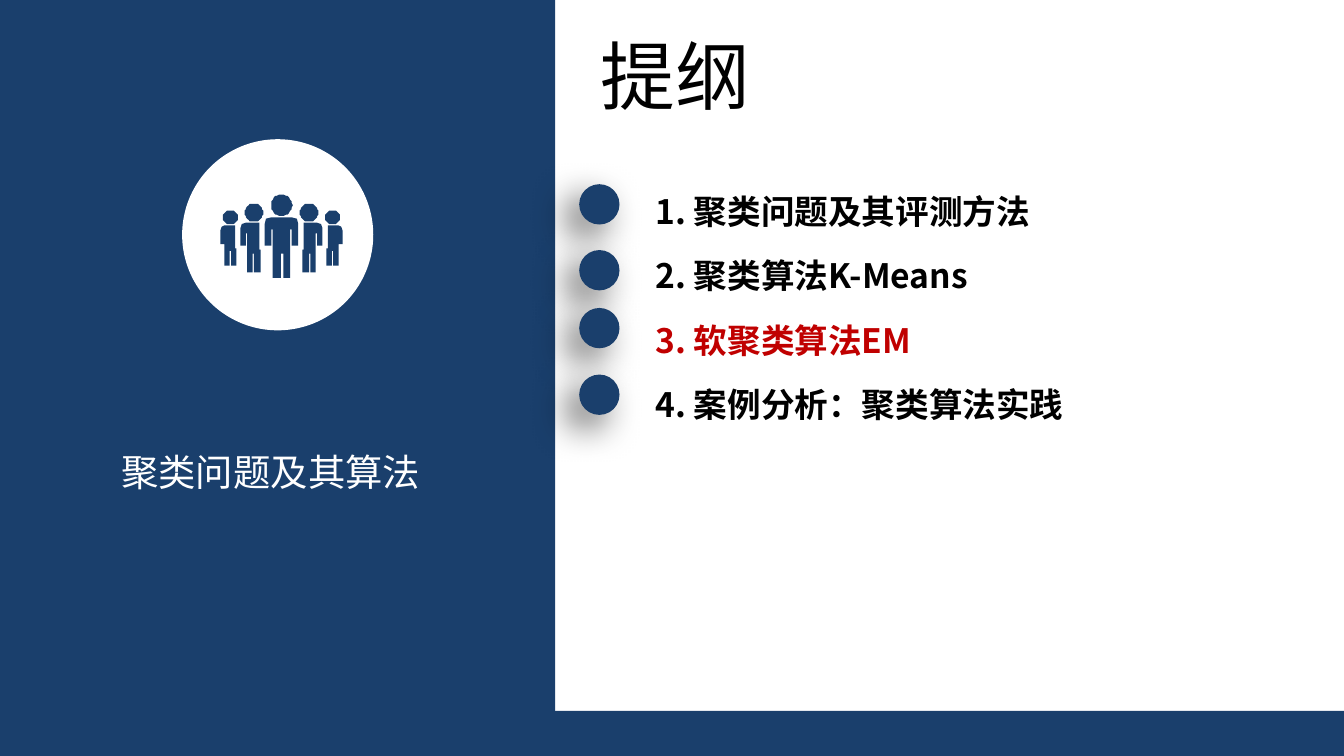
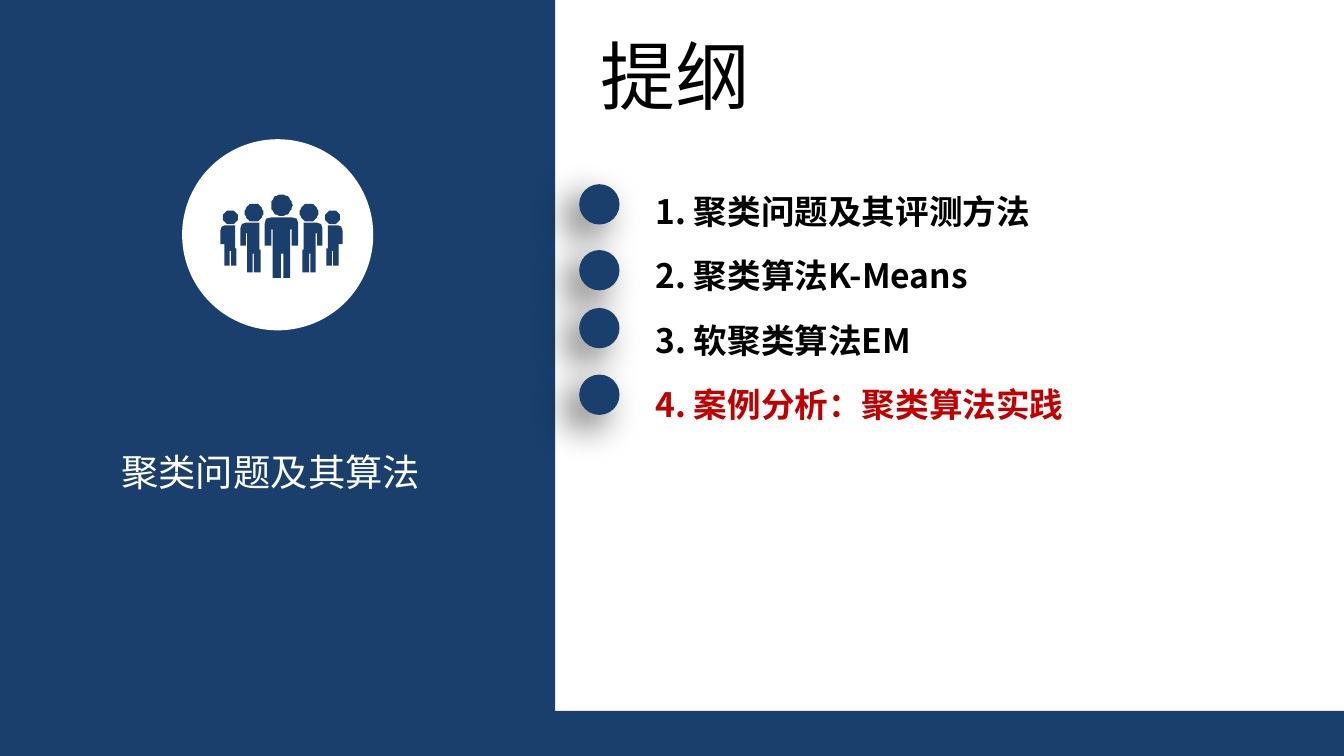
import math

from lxml import etree
from pptx import Presentation
from pptx.dml.color import RGBColor
from pptx.enum.shapes import MSO_SHAPE
from pptx.enum.text import MSO_ANCHOR, PP_ALIGN
from pptx.oxml.ns import qn
from pptx.util import Pt

RECT, OVAL = MSO_SHAPE.RECTANGLE, MSO_SHAPE.OVAL
TOP = MSO_ANCHOR.TOP
LEFT, CENTER = PP_ALIGN.LEFT, PP_ALIGN.CENTER

NAVY = RGBColor(0x1A, 0x3F, 0x6C)
WHITE = RGBColor(0xFF, 0xFF, 0xFF)
BLACK = RGBColor(0, 0, 0)
RED = RGBColor(0xC0, 0, 0)
FONT = "Noto Sans CJK SC"

WIDTH, HEIGHT = 720, 405
PANEL_WIDTH = 297.4
BAND_TOP = 380.8

TITLE = "提纲"
CHAPTER = "聚类问题及其算法"
TOPICS = [
    "1. 聚类问题及其评测方法",
    "2. 聚类算法K-Means",
    "3. 软聚类算法EM",
    "4. 案例分析：聚类算法实践",
]
CURRENT_TOPICS = [2, 3]
MARKER_OFFSETS = [0, 35.3, 66.3, 102]

# Crowd outlines, on a grid 91 units wide with the leader in the middle
GRID_UNIT = 0.72
GRID_WIDTH = 91
LEADER_BODY = [
    (33, 22), (34, 18), (38, 17), (53, 17), (57, 18), (58, 22), (58, 38),
    (53, 38), (53, 26), (52, 26), (52, 62), (47, 62), (47, 44), (45, 44),
    (45, 62), (39, 62), (39, 26), (38, 26), (38, 38), (33, 38),
]
INNER_BODY = [
    (15, 25), (16, 22), (19, 21), (29, 21), (29, 41), (30, 41), (30, 58),
    (25, 58), (25, 44), (24, 44), (24, 58), (20, 58), (20, 29), (19, 29),
    (19, 38), (15, 38),
]
OUTER_BODY = [
    (0, 27), (1, 24), (3, 23), (11, 23), (11, 40), (12, 40), (12, 53),
    (8, 53), (8, 42), (7, 42), (7, 53), (3, 53), (3, 37), (0, 37),
]


def paint(shape, color):
    shape.shadow.inherit = False
    shape.fill.solid()
    shape.fill.fore_color.rgb = color
    shape.line.fill.background()


def add_solid(shapes, kind, box, color):
    shape = shapes.add_shape(kind, *map(Pt, box))
    paint(shape, color)
    return shape


def set_insets(frame, side, vertical):
    frame.margin_left = frame.margin_right = Pt(side)
    frame.margin_top = frame.margin_bottom = Pt(vertical)


def format_paragraph(paragraph, size, color, bold=False, align=LEFT):
    paragraph.alignment = align
    for run in paragraph.runs:
        run.font.name = FONT
        run.font.size = Pt(size)
        run.font.bold = bold
        run.font.color.rgb = color
        east_asian = etree.SubElement(run.font._element, qn("a:ea"))
        east_asian.set("typeface", FONT)


def cast_shadow(shape):
    """Give the shape a soft black shadow towards the lower left."""
    effects = shape._element.spPr.find(qn("a:effectLst"))
    shadow = etree.SubElement(
        effects, qn("a:outerShdw"), blurRad=str(Pt(20)), dist=str(Pt(10)),
        dir=str(135 * 60000), algn="tr", rotWithShape="0")
    color = etree.SubElement(shadow, qn("a:srgbClr"), val=str(BLACK))
    etree.SubElement(color, qn("a:alpha"), val="60000")


def head(x, y, rx, ry, steps=32):
    angles = [2 * math.pi * i / steps for i in range(steps)]
    return [(x + rx * math.cos(a), y + ry * math.sin(a)) for a in angles]


def mirrored(outline):
    return [(GRID_WIDTH - x, y) for x, y in outline]


def add_crowd(shapes, left, top):
    """Draw five standing people as one outline."""
    one_side = [head(25, 13.5, 7, 6.5), INNER_BODY,
                head(7.5, 17, 5.5, 5), OUTER_BODY]
    outlines = [head(45.5, 8, 8, 8), LEADER_BODY]
    outlines += one_side + [mirrored(outline) for outline in one_side]
    builder = shapes.build_freeform(*outlines[0][0], scale=Pt(GRID_UNIT))
    for i, outline in enumerate(outlines):
        if i:
            builder.move_to(*outline[0])
        builder.add_line_segments(outline[1:], close=True)
    paint(builder.convert_to_shape(Pt(left), Pt(top)), NAVY)


def add_badge(slide, left, top, size):
    badge = slide.shapes.add_group_shape().shapes
    add_solid(badge, OVAL, (left, top, size, size), WHITE)
    crowd_left = left + (size - GRID_WIDTH * GRID_UNIT) / 2 + 2
    add_crowd(badge, crowd_left, top + 29.6)


def add_chapter_panel(slide, left, top, width, height):
    add_solid(slide.shapes, RECT, (left, top, width, height), NAVY)
    chapter = slide.shapes.add_textbox(
        Pt(left + 38.9), Pt(top + 240.5), Pt(212.4), Pt(24.5)).text_frame
    chapter.word_wrap = True
    set_insets(chapter, 0, 0)
    chapter.text = CHAPTER
    format_paragraph(chapter.paragraphs[0], 20, WHITE, align=CENTER)
    add_badge(slide, left + 97.6, top + 74.6, 102.4)


def set_title(slide, left, top, width, height):
    title = slide.shapes.title
    title.left, title.top = Pt(left), Pt(top)
    title.width, title.height = Pt(width), Pt(height)
    frame = title.text_frame
    frame.text = TITLE
    frame.word_wrap = False
    frame.vertical_anchor = TOP
    set_insets(frame, 7.2, 3.6)
    format_paragraph(frame.paragraphs[0], 40, BLACK)
    frame.paragraphs[0].line_spacing = 1.0


def add_topics(slide, left, top, width, height, current):
    """List the topics beside their markers, the current one in red."""
    topics = slide.shapes.add_textbox(
        Pt(left + 33.8), Pt(top), Pt(width - 33.8), Pt(height)).text_frame
    topics.word_wrap = True
    topics.text = "\n".join(TOPICS)
    for i, paragraph in enumerate(topics.paragraphs):
        paragraph.line_spacing = 1.6
        format_paragraph(paragraph, 18, RED if i == current else BLACK, True)
    for offset in MARKER_OFFSETS:
        marker = add_solid(slide.shapes, OVAL,
                           (left, top + 13 + offset, 21.6, 21.6), NAVY)
        cast_shadow(marker)


def add_outline_slide(deck, current):
    slide = deck.slides.add_slide(deck.slide_layouts.get_by_name("Title Only"))
    add_solid(slide.shapes, RECT,
              (0, BAND_TOP, WIDTH, HEIGHT - BAND_TOP), NAVY)
    add_chapter_panel(slide, 0, 0, PANEL_WIDTH, HEIGHT)
    set_title(slide, PANEL_WIDTH + 17.2, 12.2, 95, 55.4)
    add_topics(slide, PANEL_WIDTH + 12.9, 85.7, 270, 146.9, current)


def main():
    deck = Presentation()
    deck.slide_width, deck.slide_height = Pt(WIDTH), Pt(HEIGHT)
    for current in CURRENT_TOPICS:
        add_outline_slide(deck, current)
    deck.save("out.pptx")


if __name__ == "__main__":
    main()
